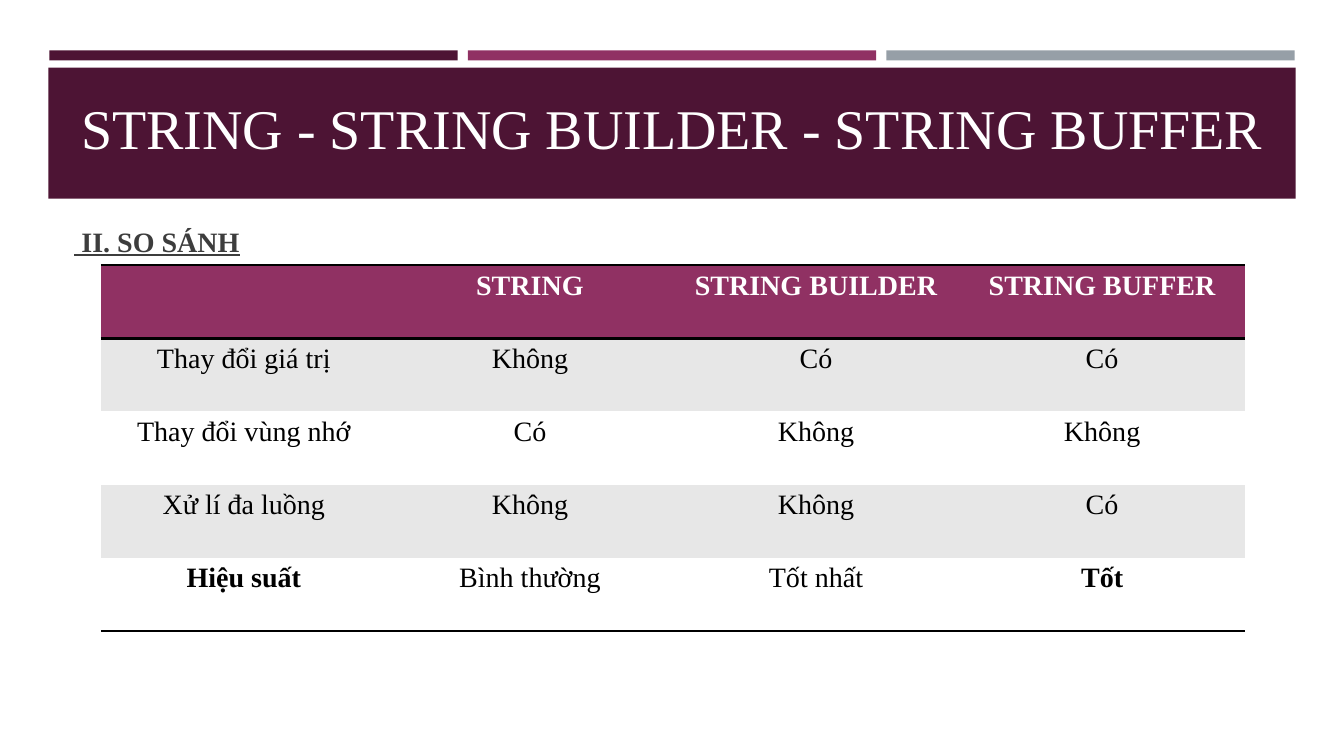
from lxml import etree
from pptx import Presentation
from pptx.dml.color import RGBColor
from pptx.enum.shapes import MSO_SHAPE
from pptx.enum.text import MSO_ANCHOR, PP_ALIGN
from pptx.oxml.ns import qn
from pptx.util import Inches, Pt

RECTANGLE = MSO_SHAPE.RECTANGLE
BOTTOM, MIDDLE = MSO_ANCHOR.BOTTOM, MSO_ANCHOR.MIDDLE
LEFT, CENTER = PP_ALIGN.LEFT, PP_ALIGN.CENTER
FONT = "Times New Roman"
PLUM, MAGENTA, GREY = "4D1434", "903163", "969FA7"
BLACK, WHITE, BAND, CHARCOAL = "000000", "FFFFFF", "E7E7E7", "3D3D3D"
PLAIN_TABLE_STYLE = "{2D5ABB26-0587-4C30-8999-92F81FD0307C}"
ROWS = [
    ["", "STRING", "STRING BUILDER", "STRING BUFFER"],
    ["Thay đổi giá trị", "Không", "Có", "Có"],
    ["Thay đổi vùng nhớ", "Có", "Không", "Không"],
    ["Xử lí đa luồng", "Không", "Không", "Có"],
    ["Hiệu suất", "Bình thường", "Tốt nhất", "Tốt"],
]
BOLD_CELLS = {"Hiệu suất", "Tốt"}


def rgb(color):
    """Turn a hex string into a colour."""
    return RGBColor.from_string(color)


def add_bar(slide, left, top, width, height, color):
    """Add a plain filled rectangle."""
    shape = slide.shapes.add_shape(
        RECTANGLE, Inches(left), Inches(top), Inches(width), Inches(height))
    shape.shadow.inherit = False
    shape.fill.solid()
    shape.fill.fore_color.rgb = rgb(color)
    shape.line.fill.background()


def write(frame, text, size, color, bold=False, alignment=CENTER):
    """Write one styled paragraph and return it."""
    paragraph = frame.paragraphs[0]
    paragraph.text = text
    paragraph.alignment = alignment
    font = paragraph.font
    font.name, font.size, font.bold = FONT, Pt(size), bold
    font.color.rgb = rgb(color)
    return paragraph


def add_text_frame(slide, left, top, width, height, anchor):
    """Add a wrapping text box and return its frame."""
    frame = slide.shapes.add_textbox(
        Inches(left), Inches(top), Inches(width), Inches(height)).text_frame
    frame.word_wrap = True
    frame.vertical_anchor = anchor
    return frame


def add_borders(cell, sides):
    """Draw black lines on the given sides of a cell, top before bottom."""
    properties = cell._tc.get_or_add_tcPr()
    for index, side in enumerate(sides):
        line = etree.Element(qn(f"a:{side}"), w=str(Pt(2)))
        fill = etree.SubElement(line, qn("a:solidFill"))
        etree.SubElement(fill, qn("a:srgbClr"), val=BLACK)
        properties.insert(index, line)


def add_comparison_table(slide, left, top, width, height):
    """Add the banded comparison table."""
    table = slide.shapes.add_table(
        len(ROWS), len(ROWS[0]), Inches(left), Inches(top),
        Inches(width), Inches(height)).table
    table._tbl.tblPr.find(qn("a:tableStyleId")).text = PLAIN_TABLE_STYLE
    table.horz_banding = False
    borders = {0: ["lnT", "lnB"], len(ROWS) - 1: ["lnB"]}
    for row, texts in enumerate(ROWS):
        header = row == 0
        background = MAGENTA if header else BAND if row % 2 else WHITE
        for column, text in enumerate(texts):
            cell = table.cell(row, column)
            cell.fill.solid()
            cell.fill.fore_color.rgb = rgb(background)
            write(cell.text_frame, text, 20, WHITE if header else BLACK,
                  header or text in BOLD_CELLS)
            add_borders(cell, borders.get(row, []))


def main():
    """Build the slide and save it."""
    presentation = Presentation()
    presentation.slide_width = Inches(13.33)
    presentation.slide_height = Inches(7.5)
    slide = presentation.slides.add_slide(presentation.slide_layouts[6])
    for index, color in enumerate([PLUM, MAGENTA, GREY]):
        add_bar(slide, 0.49 + index * 4.15, 0.5, 4.05, 0.1, color)
    add_bar(slide, 0.48, 0.67, 12.37, 1.3, PLUM)
    title = add_text_frame(slide, 0, 0, 13.33, 1.64, BOTTOM)
    write(title, "STRING - STRING BUILDER - STRING BUFFER", 40, WHITE)
    heading = add_text_frame(slide, 0.64, 2.17, 12.06, 0.44, MIDDLE)
    paragraph = write(heading, " II. SO SÁNH", 20, CHARCOAL, True, LEFT)
    paragraph.font.underline = True
    add_comparison_table(slide, 1, 2.63, 11.35, 3.63)
    presentation.save("out.pptx")


if __name__ == "__main__":
    main()
